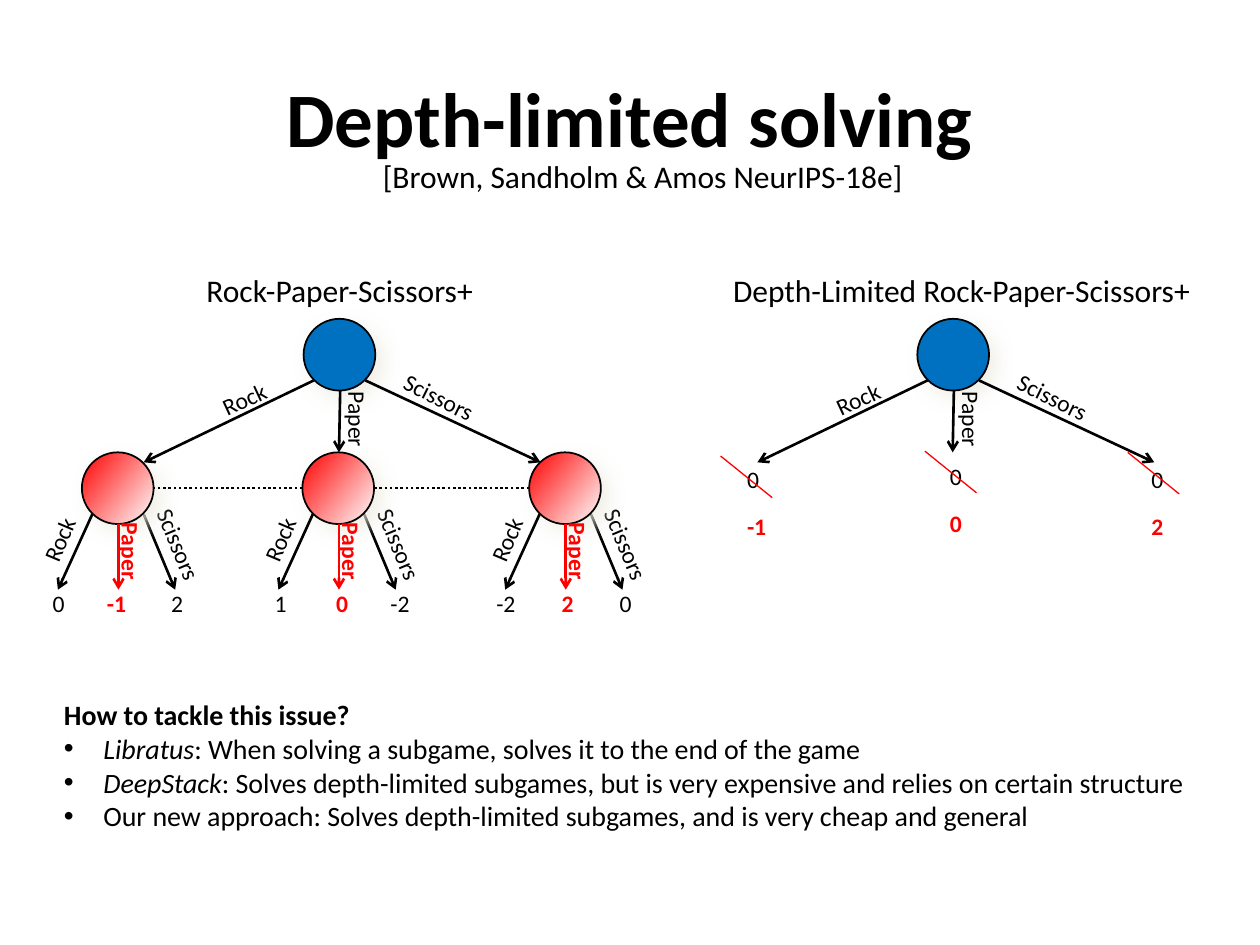
import pptx
import pptx.util
import pptx.dml.color
import pptx.enum.dml
import pptx.enum.shapes
import pptx.enum.text
import pptx.oxml

Pt = pptx.util.Pt
color = pptx.dml.color.RGBColor.from_string
NAMESPACE = 'xmlns:a="http://schemas.openxmlformats.org/drawingml/2006/main"'
BLACK, RED, BLUE, WHITE = "000000", "FF0000", "0070C0", "FFFFFF"

deck = pptx.Presentation()
deck.slide_width, deck.slide_height = Pt(720), Pt(540)
page = deck.slides.add_slide(deck.slide_layouts[5])


def add_label(text, left, top, width, height=24, size=13.5, ink=BLACK, bold=False, turn=0):
    box = page.shapes.add_textbox(Pt(left), Pt(top), Pt(width), Pt(height))
    box.rotation = turn
    frame = box.text_frame
    frame.word_wrap = False
    frame.auto_size = pptx.enum.text.MSO_AUTO_SIZE.SHAPE_TO_FIT_TEXT
    frame.text = text
    font = frame.paragraphs[0].runs[0].font
    font.name, font.size, font.bold = "Calibri", Pt(size), bold
    font.color.rgb = color(ink)
    return box


def add_line(x1, y1, x2, y2, ink=BLACK, width=1.5, arrow=True, dash=None):
    line = page.shapes.add_connector(
        pptx.enum.shapes.MSO_CONNECTOR.STRAIGHT, Pt(x1), Pt(y1), Pt(x2), Pt(y2))
    line.line.color.rgb = color(ink)
    line.line.width = Pt(width)
    if dash:
        line.line.dash_style = dash
    properties = line._element.spPr
    if arrow:
        properties.ln.append(pptx.oxml.parse_xml(f'<a:tailEnd {NAMESPACE} type="arrow"/>'))
    properties.append(pptx.oxml.parse_xml(f"<a:effectLst {NAMESPACE}/>"))


title = page.shapes.title
title.left, title.top, title.width, title.height = Pt(36), Pt(21.6), Pt(648), Pt(90)
title.text_frame.text = "Depth-limited solving"
title.text_frame.vertical_anchor = pptx.enum.text.MSO_ANCHOR.MIDDLE
title_para = title.text_frame.paragraphs[0]
title_para.alignment = pptx.enum.text.PP_ALIGN.CENTER
title_font = title_para.runs[0].font
title_font.name, title_font.size, title_font.bold = "Calibri", Pt(44), True
title_font.color.rgb = color(BLACK)
add_label("[Brown, Sandholm & Amos NeurIPS-18e]", 211.7, 86.4, 314.6, 29, size=18)

diameter = 41
root_top, node_top = 182.2, 258.5
root_lefts = [173.5, 524.2]
node_lefts = [46.8, 172.8, 302.4]
leaf_start, leaf_end = node_top + 35.3, 337

for left in node_lefts:
    add_line(left + 35.3, leaf_start, left + 53.3, leaf_end)
    add_label("Scissors", left + 26.6, 299.5, 57.6, turn=67.4)

circles = [(left, root_top) for left in root_lefts] + [(left, node_top) for left in node_lefts]
for left, top in circles:
    circle = page.shapes.add_shape(
        pptx.enum.shapes.MSO_SHAPE.OVAL, Pt(left), Pt(top), Pt(diameter), Pt(diameter))
    if top == root_top:
        circle.fill.solid()
        circle.fill.fore_color.rgb = color(BLUE)
    else:
        circle.fill.gradient()
        circle.fill.gradient_angle = 322
        for stop, ink in zip(circle.fill.gradient_stops, [RED, WHITE]):
            stop.color.rgb = color(ink)
    circle.line.color.rgb = color(BLACK)
    circle.line.width = Pt(1)
    circle._element.spPr.append(pptx.oxml.parse_xml(
        f'<a:effectLst {NAMESPACE}><a:outerShdw blurRad="{Pt(10)}" dist="{Pt(6)}" dir="2700000">'
        '<a:srgbClr val="EEECE1"><a:alpha val="75000"/></a:srgbClr></a:outerShdw></a:effectLst>'))

for left in root_lefts:
    add_line(left + 5.8, 217.4, left - 91.4, 264.2)
    add_line(left + 35.3, 217.4, left + 135.4, 264.2)
    add_line(left + 20.9, 223.2, left + 20.2, node_top)
    add_label("Rock", left - 54, 216, 41, turn=335.1)
    add_label("Scissors", left + 49, 215.3, 57.6, turn=26.4)
    add_label("Paper", left + 7.2, 228.2, 46.8, turn=90)

for left in node_lefts:
    add_line(left + 20.9, node_top + diameter, left + 20.9, leaf_end, ink=RED)
    add_line(left + 6, leaf_start, left - 13.7, leaf_end)
    add_label("Rock", left - 33.1, 295.9, 41, turn=292.8)
    add_label("Paper", left + 4.3, 303.1, 46.8, ink=RED, bold=True, turn=90)

for left, right in zip(node_lefts, node_lefts[1:]):
    add_line(right, 278.9, left + diameter, 278.9, arrow=False,
             dash=pptx.enum.dml.MSO_LINE.ROUND_DOT)

payoffs = [
    [("0", 23), ("-1", 54), ("2", 90.7)],
    [("1", 149.8), ("0", 185), ("-2", 216)],
    [("-2", 276.5), ("2", 313.9), ("0", 347)],
]
for row in payoffs:
    for move, (value, left) in enumerate(row):
        chosen = move == 1
        add_label(value, left, 333.2, 26 if value.startswith("-") else 21.6,
                  ink=RED if chosen else BLACK, bold=chosen)

add_label("Rock-Paper-Scissors+", 110.9, 151.2, 169.2, 29, size=18)
add_label("Depth-Limited Rock-Paper-Scissors+", 411.8, 151.2, 279.4, 29, size=18)

estimates = [("-1", 419.8, 262.1, 411.8, 260.6),
             ("0", 535.7, 260.6, 528.5, 257.8),
             ("2", 650.9, 262.1, 644.4, 258.5)]
for value, left, top, strike_left, strike_top in estimates:
    add_label("0", left, top, 21.6)
    add_label(value, left, top + 26.6, 26 if value.startswith("-") else 21.6, ink=RED, bold=True)
    add_line(strike_left, strike_top, strike_left + 29.5, strike_top + 23.8,
             ink=RED, width=0.75, arrow=False)

summary = add_label("How to tackle this issue?", 29.5, 395.3, 662.4, 85, size=16, bold=True)
approaches = [
    ("Libratus", ": When solving a subgame, solves it to the end of the game"),
    ("DeepStack", ": Solves depth-limited subgames, but is very expensive and relies on certain structure"),
    ("", "Our new approach: Solves depth-limited subgames, and is very cheap and general"),
]
for name, description in approaches:
    para = summary.text_frame.add_paragraph()
    properties = para._p.get_or_add_pPr()
    properties.set("marL", str(Pt(22.5)))
    properties.set("indent", str(-Pt(22.5)))
    properties.append(pptx.oxml.parse_xml(f'<a:buFont {NAMESPACE} typeface="Arial"/>'))
    properties.append(pptx.oxml.parse_xml(f'<a:buChar {NAMESPACE} char="•"/>'))
    for text, italic in [(name, True), (description, False)]:
        if text:
            span = para.add_run()
            span.text = text
            span.font.name, span.font.size, span.font.italic = "Calibri", Pt(16), italic
            span.font.color.rgb = color(BLACK)

deck.save("out.pptx")
